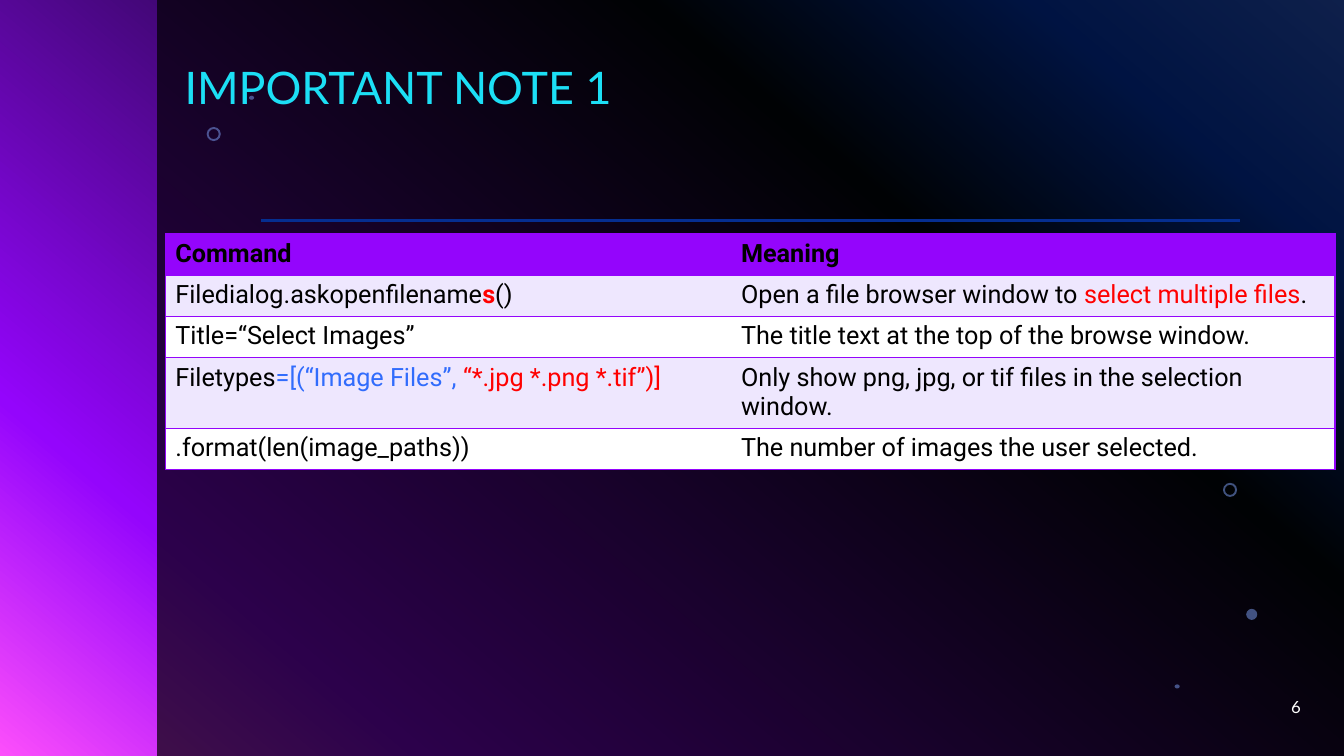
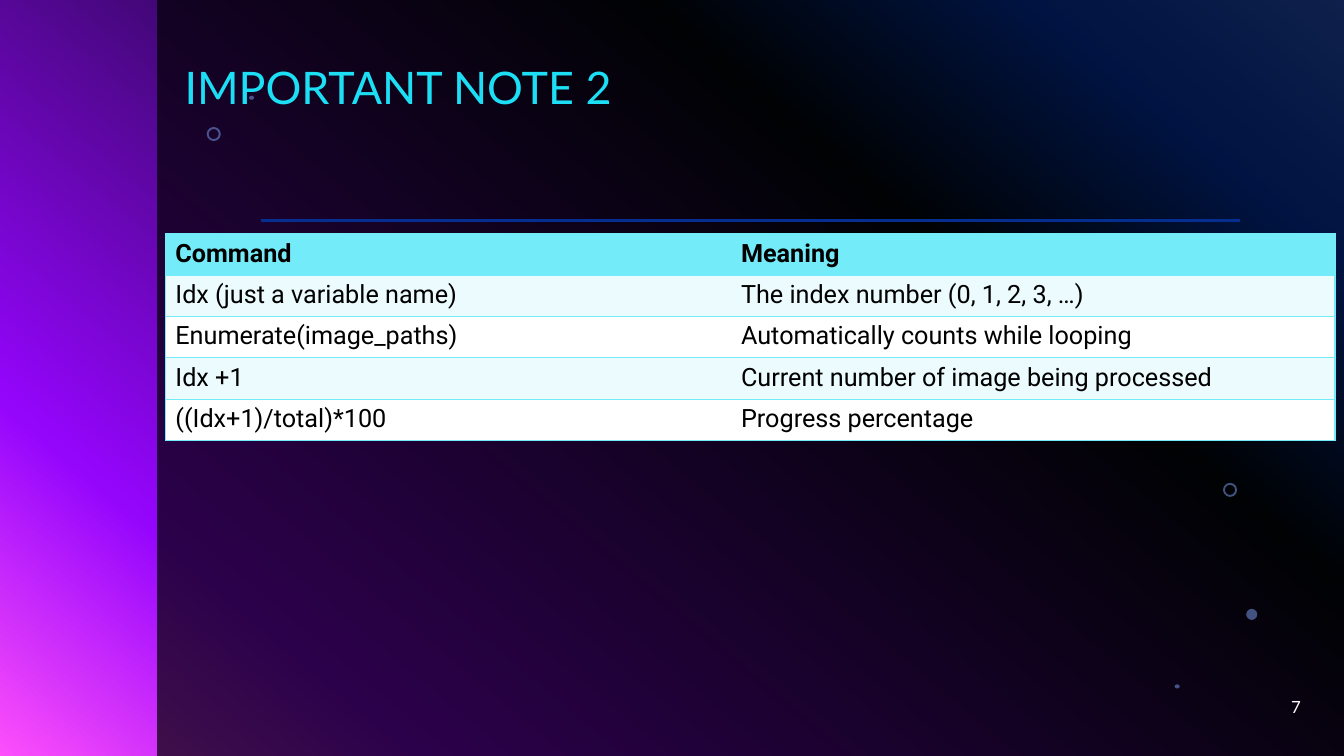
import lxml.etree
import pptx
import pptx.dml.color
import pptx.enum.shapes
import pptx.enum.text
import pptx.oxml.ns
import pptx.util

Inches = pptx.util.Inches
Pt = pptx.util.Pt
qn = pptx.oxml.ns.qn
SHAPE = pptx.enum.shapes.MSO_SHAPE
ANCHOR = pptx.enum.text.MSO_ANCHOR
ALIGN = pptx.enum.text.PP_ALIGN

BLACK, WHITE, RED, BLUE = "000000", "FFFFFF", "FF0000", "316CFC"
PURPLE, CYAN, TITLE_CYAN, BUBBLE, RULE = "9405FC", "73EBF9", "1CDFF5", "83A7FD", "052E90"
PURPLE_BAND, CYAN_BAND = "EEE7FE", "EBFBFE"
GRADIENT = [(0, BLUE), (14, "0343DF"), (31, "02090E"), (81, PURPLE), (100, "FC4EFB")]
BUBBLES = [
    (SHAPE.DONUT, 12.13, 4.79, 0.14, 0.14),
    (SHAPE.OVAL, 12.36, 6.04, 0.11, 0.11),
    (SHAPE.OVAL, 11.65, 6.79, 0.05, 0.04),
    (SHAPE.DONUT, 2.05, 1.26, 0.14, 0.14),
    (SHAPE.OVAL, 2.47, 0.95, 0.05, 0.04),
]
HEADINGS = ("Command", "Meaning")
NOTE_1 = [
    HEADINGS,
    ([("Filedialog.askopenfilename", {}), ("s", {"color": RED, "bold": True}), ("()", {})],
     [("Open a file browser window to ", {}), ("select multiple files", {"color": RED}), (".", {})]),
    ("Title=“Select Images”", "The title text at the top of the browse window."),
    ([("Filetypes", {}), ("=[(“Image Files”, ", {"color": BLUE}),
      ("“*.jpg *.png *.tif”)]", {"color": RED})],
     "Only show png, jpg, or tif files in the selection window."),
    (".format(len(image_paths))", "The number of images the user selected."),
]
NOTE_2 = [
    HEADINGS,
    ("Idx (just a variable name)", "The index number (0, 1, 2, 3, …)"),
    ("Enumerate(image_paths)", "Automatically counts while looping"),
    ("Idx +1", "Current number of image being processed"),
    ("((Idx+1)/total)*100", "Progress percentage"),
]


def rgb(code):
    return pptx.dml.color.RGBColor.from_string(code)


def add_text(paragraph, text, size=18, font="Roboto", color=BLACK, bold=False):
    run = paragraph.add_run()
    run.text = text
    run.font.size = Pt(size)
    run.font.name = font
    run.font.bold = bold
    run.font.color.rgb = rgb(color)


def add_color(parent, code):
    return lxml.etree.SubElement(parent, qn("a:srgbClr"), val=code)


class Deck:
    """Holds the shared style and the slide being built."""

    def __init__(self):
        self.prs = pptx.Presentation()
        self.prs.slide_width = Inches(13.33)
        self.prs.slide_height = Inches(7.5)
        self.layout = self.prs.slide_layouts[5]
        self.slide = None
        self.background()

    def background(self):
        master = self.prs.slide_master
        fill = master.background.fill
        fill.gradient()
        fill.gradient_angle = 230
        stops = master.element.xpath("./p:cSld/p:bg//a:gsLst")[0]
        for stop in list(stops):
            stops.remove(stop)
        for percent, code in GRADIENT:
            add_color(lxml.etree.SubElement(stops, qn("a:gs"), pos=str(percent * 1000)), code)

    def new_slide(self):
        first = self.slide is None
        self.slide = self.prs.slides.add_slide(self.layout)
        if first:
            self.decorate_layout()

    def decorate_layout(self):
        parts = [self.shape(SHAPE.RECTANGLE, 1.56, 0, 11.77, 7.5, BLACK, 70)]
        parts += [self.shape(*bubble, BUBBLE, 49) for bubble in BUBBLES]
        parts.append(self.rule(2.59, 12.3, 2.19))
        for number, part in enumerate(parts, 100):
            part.element.xpath(".//p:cNvPr")[0].set("id", str(number))
            self.layout.shapes.element.append(part.element)

    def shape(self, kind, left, top, width, height, code, opacity):
        shape = self.slide.shapes.add_shape(
            kind, Inches(left), Inches(top), Inches(width), Inches(height))
        shape.shadow.inherit = False
        shape.line.fill.background()
        shape.fill.solid()
        shape.fill.fore_color.rgb = rgb(code)
        color = shape.element.xpath("./p:spPr/a:solidFill/a:srgbClr")[0]
        lxml.etree.SubElement(color, qn("a:alpha"), val=str(opacity * 1000))
        if kind == SHAPE.DONUT:
            shape.adjustments[0] = 0.14
        return shape

    def rule(self, left, right, y):
        rule = self.slide.shapes.add_connector(
            pptx.enum.shapes.MSO_CONNECTOR.STRAIGHT,
            Inches(left), Inches(y), Inches(right), Inches(y))
        rule.line.color.rgb = rgb(RULE)
        rule.line.width = Pt(2)
        lxml.etree.SubElement(rule.element.xpath("./p:spPr")[0], qn("a:effectLst"))
        return rule

    def title(self, text):
        title = self.slide.shapes.title
        title.left, title.top = Inches(1.83), Inches(-0.59)
        title.width, title.height = Inches(9.67), Inches(1.77)
        frame = title.text_frame
        frame.auto_size = pptx.enum.text.MSO_AUTO_SIZE.NONE
        frame.word_wrap = True
        frame.vertical_anchor = ANCHOR.BOTTOM
        frame.margin_left = 0
        paragraph = frame.paragraphs[0]
        paragraph.alignment = ALIGN.LEFT
        paragraph.line_spacing = 0.9
        add_text(paragraph, text, size=32, font="Lato", color=TITLE_CYAN)

    def page_number(self, number):
        box = self.slide.shapes.add_textbox(Inches(10), Inches(6.81), Inches(3), Inches(0.4))
        frame = box.text_frame
        frame.word_wrap = True
        frame.vertical_anchor = ANCHOR.MIDDLE
        paragraph = frame.paragraphs[0]
        paragraph.alignment = ALIGN.RIGHT
        add_text(paragraph, str(number), size=12, font="Lato", color=WHITE)

    def table(self, rows, accent, band):
        widths = (5.61, 5.99)
        row_height = 0.41
        holder = self.slide.shapes.add_table(
            len(rows), len(widths), Inches(1.64), Inches(2.32),
            Inches(sum(widths)), Inches(row_height * len(rows)))
        holder.element.xpath(".//a:tableStyleId")[0].text = "{2D5ABB26-0587-4C30-8999-92F81FD0307C}"
        table = holder.table
        table.horz_banding = False
        for column, width in zip(table.columns, widths):
            column.width = Inches(width)
        for r, row in enumerate(rows):
            table.rows[r].height = Inches(row_height)
            fill = accent if r == 0 else (WHITE, band)[r % 2]
            for c, content in enumerate(row):
                outer = "lnR" if c else "lnL"
                self.cell(table.cell(r, c), content, fill, accent, outer, bold=r == 0)

    def cell(self, cell, content, fill, accent, outer, bold):
        properties = cell._tc.get_or_add_tcPr()
        for side in (outer, "lnT", "lnB"):
            border = lxml.etree.SubElement(properties, qn("a:" + side), w=str(Pt(1)))
            add_color(lxml.etree.SubElement(border, qn("a:solidFill")), accent)
        cell.fill.solid()
        cell.fill.fore_color.rgb = rgb(fill)
        pieces = [(content, {})] if isinstance(content, str) else content
        for text, style in pieces:
            add_text(cell.text_frame.paragraphs[0], text, **{"bold": bold, **style})


def main():
    deck = Deck()
    notes = [(NOTE_1, PURPLE, PURPLE_BAND), (NOTE_2, CYAN, CYAN_BAND)]
    for number, (rows, accent, band) in enumerate(notes, 1):
        deck.new_slide()
        deck.title(f"IMPORTANT NOTE {number}")
        deck.page_number(number + 5)
        deck.table(rows, accent, band)
    deck.prs.save("out.pptx")


if __name__ == "__main__":
    main()
